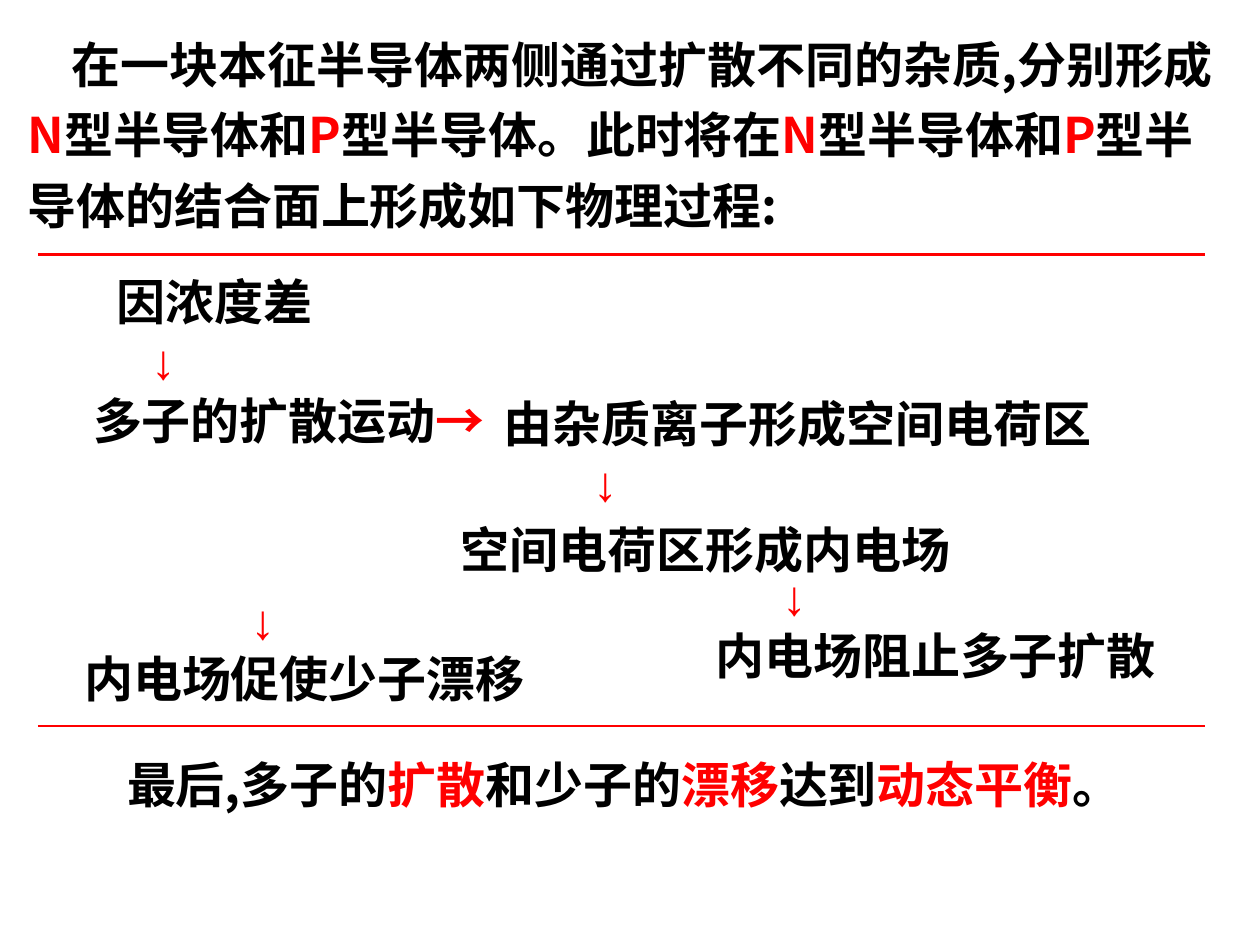
from lxml import etree
from pptx import Presentation
from pptx import util as u
from pptx.dml.color import RGBColor
from pptx.enum import shapes, text
from pptx.oxml.ns import qn

COLORS = {"black": "000000", "red": "FF0000", "white": "FFFFFF"}
CJK, LATIN = "Noto Sans CJK SC", "Arial"


class Sheet:
    """Holds the style and the current slide."""

    size = u.Pt(28)

    def __init__(self, deck):
        self.page = deck.slides.add_slide(deck.slide_layouts[6])

    def color(self, name):
        return RGBColor.from_string(COLORS[name])

    def box(self, left, top, width, height, paras, spacing=None, wrap=True,
            anchor="MIDDLE", fill=None):
        """Each paragraph is (indent, spans); a span in red is a 1-tuple."""
        place = [u.Inches(v) for v in (left, top, width, height)]
        if fill:
            box = self.page.shapes.add_shape(shapes.MSO_SHAPE.RECTANGLE, *place)
            box.shadow.inherit = False
            box.fill.solid()
            box.fill.fore_color.rgb = self.color(fill)
            box.line.fill.background()
        else:
            box = self.page.shapes.add_textbox(*place)
        frame = box.text_frame
        frame.word_wrap = wrap
        frame.vertical_anchor = text.MSO_ANCHOR[anchor]
        for index, (indent, spans) in enumerate(paras):
            para = frame.add_paragraph() if index else frame.paragraphs[0]
            para.alignment = text.PP_ALIGN.LEFT
            if spacing:
                para.line_spacing = spacing
            if indent:
                para._p.get_or_add_pPr().set("indent", str(u.Inches(indent)))
            for item in spans:
                self.span(para, item)

    def span(self, para, item):
        red = isinstance(item, tuple)
        words = item[0] if red else item
        span = para.add_run()
        span.text = words
        font = span.font
        font.size, font.bold = self.size, True
        font.color.rgb = self.color("red" if red else "black")
        font.name = LATIN if words in "↓→" else CJK
        east = etree.SubElement(span._r.get_or_add_rPr(), qn("a:ea"))
        east.set("typeface", LATIN if words == "↓" else CJK)

    def rule(self, y):
        start, end, y = u.Inches(0.3), u.Inches(9.56), u.Inches(y)
        line = self.page.shapes.add_connector(
            shapes.MSO_CONNECTOR.STRAIGHT, start, y, end, y)
        line.line.color.rgb = self.color("red")
        line.line.width = u.Pt(1.25)
        etree.SubElement(line._element.spPr, qn("a:effectLst"))


def main():
    deck = Presentation()
    deck.slide_width, deck.slide_height = u.Inches(10), u.Inches(7.5)
    sheet = Sheet(deck)
    down = [("↓",)]

    # Introduction
    sheet.box(0.12, 0.13, 9.76, 1.78, [(0.35, [
        "在一块本征半导体两侧通过扩散不同的杂质,分别形成", ("N",),
        "型半导体和", ("P",), "型半导体。此时将在", ("N",),
        "型半导体和", ("P",), "型半导体的结合面上形成如下物理过程:"])],
        spacing=1.2, fill="white")

    # Steps of the process
    sheet.box(0.3, 2.1, 3.11, 1.04, [(0.53, ["因浓度差"]), (0.8, down)])
    sheet.box(3.56, 4.07, 4.08, 0.57, [(0, ["空间电荷区形成内电场"])], wrap=False)
    sheet.box(0.3, 4.63, 4.67, 1.04,
              [(1.59, down), (0.27, ["内电场促使少子漂移"])])
    sheet.box(5.58, 4.45, 4, 1.5,
              [(0.53, down), (0, ["内电场阻止多子扩散"])], anchor="TOP")
    sheet.box(0.64, 3.05, 3.61, 0.57, [(0, ["多子的扩散运动", ("→",)])])
    sheet.box(3.9, 3.07, 5.22, 1.04,
              [(0, ["由杂质离子形成空间电荷区"]), (0.71, down)])

    # Conclusion
    sheet.box(0.91, 5.89, 8.65, 0.62, [(0, [
        "最后,多子的", ("扩散",), "和少子的", ("漂移",), "达到",
        ("动态平衡",), "。"])], spacing=1.1)

    # Rules around the process
    for y in (2.02, 5.76):
        sheet.rule(y)

    deck.save("out.pptx")


if __name__ == "__main__":
    main()
